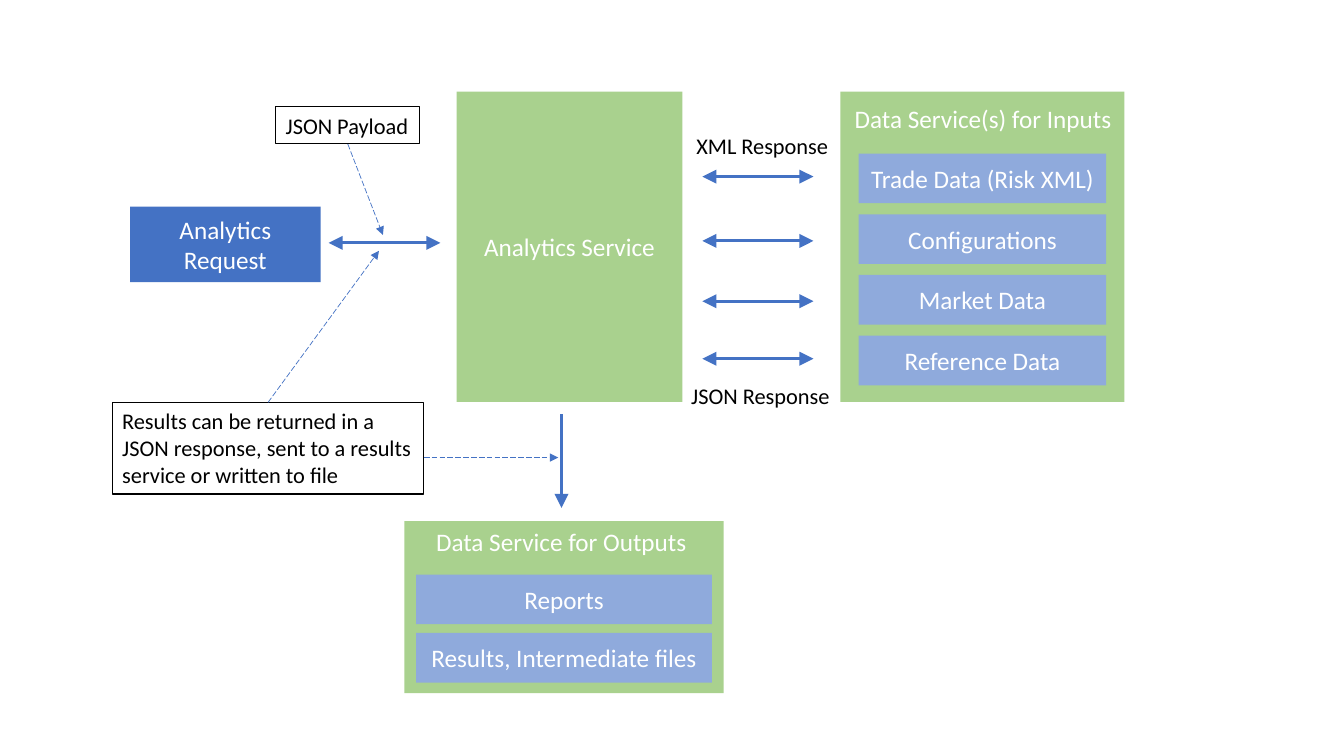
from lxml.etree import SubElement
from pptx import Presentation
from pptx.dml.color import RGBColor
from pptx.enum.dml import MSO_LINE_DASH_STYLE as Dash
from pptx.enum.shapes import MSO_CONNECTOR as Connector, MSO_SHAPE as Shape
from pptx.enum.text import MSO_ANCHOR as Anchor, MSO_AUTO_SIZE as AutoSize, PP_ALIGN as Align
from pptx.oxml.ns import qn
from pptx.util import Cm, Pt

COLORS = {
    "request": "4472C4",
    "service": "A9D18E",
    "item": "8FAADC",
    "light": "FFFFFF",
    "dark": "000000",
}
FONT = "Calibri"
ITEM_HEIGHT = 1.25


def color(name):
    return RGBColor.from_string(COLORS[name])


def write(box, text, size, ink, align):
    box.text_frame.text = text
    for para in box.text_frame.paragraphs:
        para.alignment = align
        para.font.name = FONT
        para.font.size = Pt(size)
        para.font.color.rgb = color(ink)


def add_block(shapes, area, fill, text=""):
    """Filled rectangle with centred white text; area is left, top, width, height in cm."""
    block = shapes.add_shape(Shape.RECTANGLE, *map(Cm, area))
    block.shadow.inherit = False
    block.fill.solid()
    block.fill.fore_color.rgb = color(fill)
    block.line.fill.background()
    if text:
        block.text_frame.vertical_anchor = Anchor.MIDDLE
        write(block, text, 18, "light", Align.CENTER)
    return block


def add_label(shapes, area, text, size=16, ink="dark", wrap=False, outlined=False):
    label = shapes.add_textbox(*map(Cm, area))
    label.text_frame.word_wrap = wrap
    label.text_frame.auto_size = AutoSize.SHAPE_TO_FIT_TEXT
    write(label, text, size, ink, Align.LEFT)
    if outlined:
        label.line.color.rgb = color("dark")
        label.line.width = Pt(0.75)
    return label


def add_arrow(shapes, start, end, both=False, dashed=False):
    arrow = shapes.add_connector(Connector.STRAIGHT, *map(Cm, start + end))
    arrow.line.color.rgb = color("request")
    arrow.line.width = Pt(0.5 if dashed else 2)
    if dashed:
        arrow.line.dash_style = Dash.LONG_DASH
    head_size = "med" if dashed else "lg"
    outline = arrow.line._get_or_add_ln()
    for tag in ("a:headEnd", "a:tailEnd") if both else ("a:tailEnd",):
        SubElement(outline, qn(tag), type="triangle", w=head_size, len=head_size)
    SubElement(arrow._element.spPr, qn("a:effectLst"))
    return arrow


def add_data_service(shapes, area, title, title_area, items, inset, pitch):
    """Green panel with a title and stacked items; title_area and inset are relative to it."""
    left, top, width, height = area
    add_block(shapes, area, "service")
    title_left, title_top, title_width = title_area
    add_label(shapes, (left + title_left, top + title_top, title_width, 1.02),
              title, size=18, ink="light")
    side, first = inset
    for index, item in enumerate(items):
        item_area = (left + side, top + first + index * pitch, width - 2 * side, ITEM_HEIGHT)
        add_block(shapes, item_area, "item", item)


def add_services(shapes):
    add_block(shapes, (3.28, 5.21, 4.8, 1.9), "request", "Analytics\nRequest")
    add_block(shapes, (11.51, 2.31, 5.69, 7.82), "service", "Analytics Service")
    add_data_service(
        shapes.add_group_shape().shapes, (21.18, 2.31, 7.16, 7.82),
        "Data Service(s) for Inputs", (0.11, 0.16, 7.06),
        ("Trade Data (Risk XML)", "Configurations", "Market Data", "Reference Data"),
        inset=(0.46, 1.56), pitch=1.53)
    add_data_service(
        shapes, (10.19, 13.13, 8.05, 4.34),
        "Data Service for Outputs", (0.55, 0, 7.14),
        ("Reports", "Results, Intermediate files"),
        inset=(0.3, 1.35), pitch=1.47)


def add_exchanges(shapes):
    add_arrow(shapes, (8.28, 6.12), (11.1, 6.12), both=True)
    for height in (4.45, 6.07, 7.59, 9.04):
        add_arrow(shapes, (17.7, height), (20.5, height), both=True)
    add_label(shapes, (17.3, 3.2, 3.89, 0.94), "XML Response")
    add_label(shapes, (17.17, 9.5, 4.06, 0.94), "JSON Response")
    add_arrow(shapes, (14.15, 10.44), (14.15, 12.8))


def add_notes(shapes):
    payload = add_label(shapes, (6.95, 2.69, 3.63, 0.94), "JSON Payload", outlined=True)
    results = add_label(
        shapes, (2.83, 10.14, 7.85, 2.31),
        "Results can be returned in a JSON response, sent to a results service or written to file",
        wrap=True, outlined=True)
    add_arrow(shapes, (8.76, 3.63), (9.65, 5.92), dashed=True).begin_connect(payload, 2)
    add_arrow(shapes, (6.75, 10.14), (9.55, 6.32), dashed=True).begin_connect(results, 0)
    add_arrow(shapes, (10.68, 11.53), (14.07, 11.53), dashed=True)


def main():
    deck = Presentation()
    deck.slide_width, deck.slide_height = Cm(33.87), Cm(19.05)
    page = deck.slides.add_slide(deck.slide_layouts[6])
    add_services(page.shapes)
    add_exchanges(page.shapes)
    add_notes(page.shapes)
    deck.save("out.pptx")


if __name__ == "__main__":
    main()
